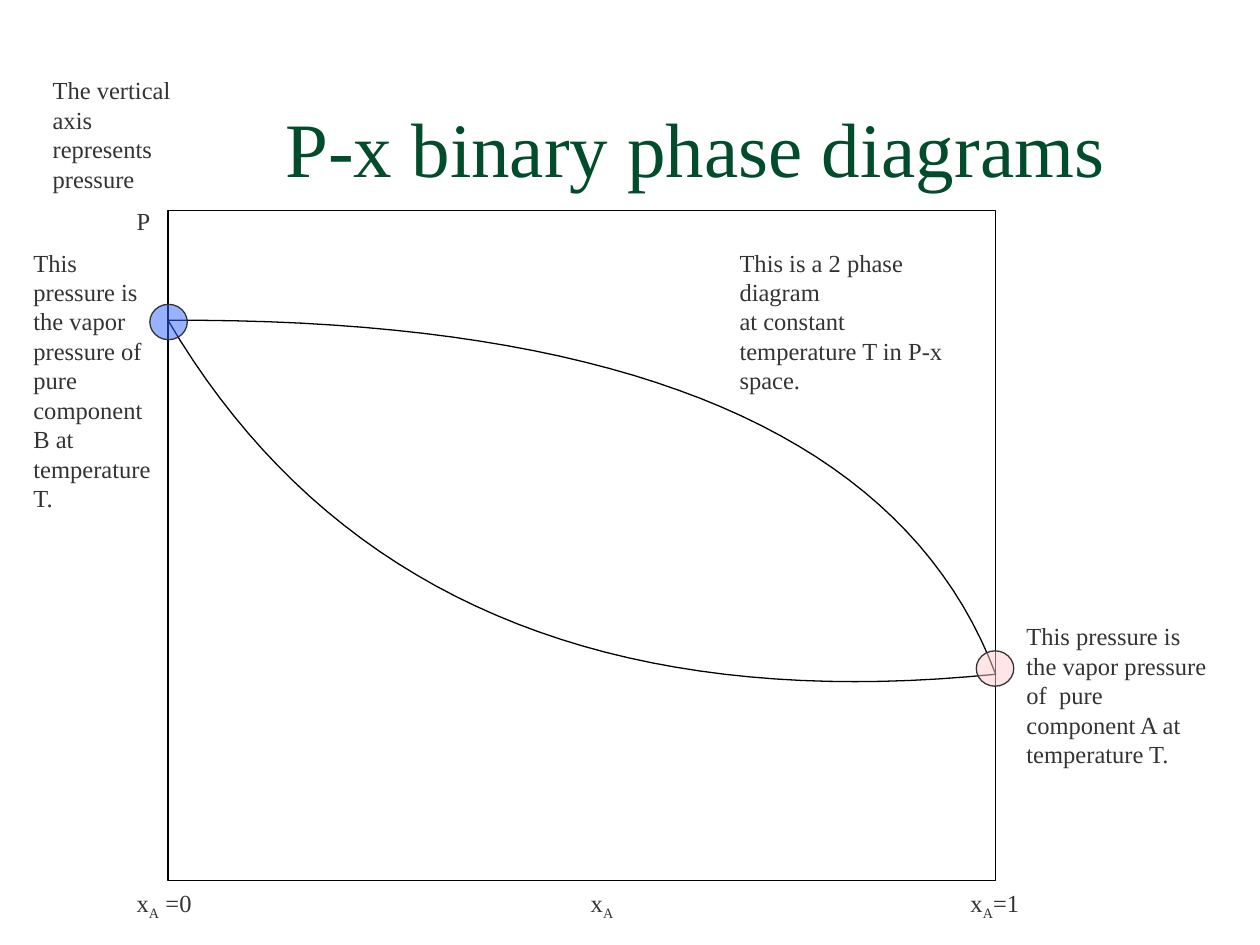
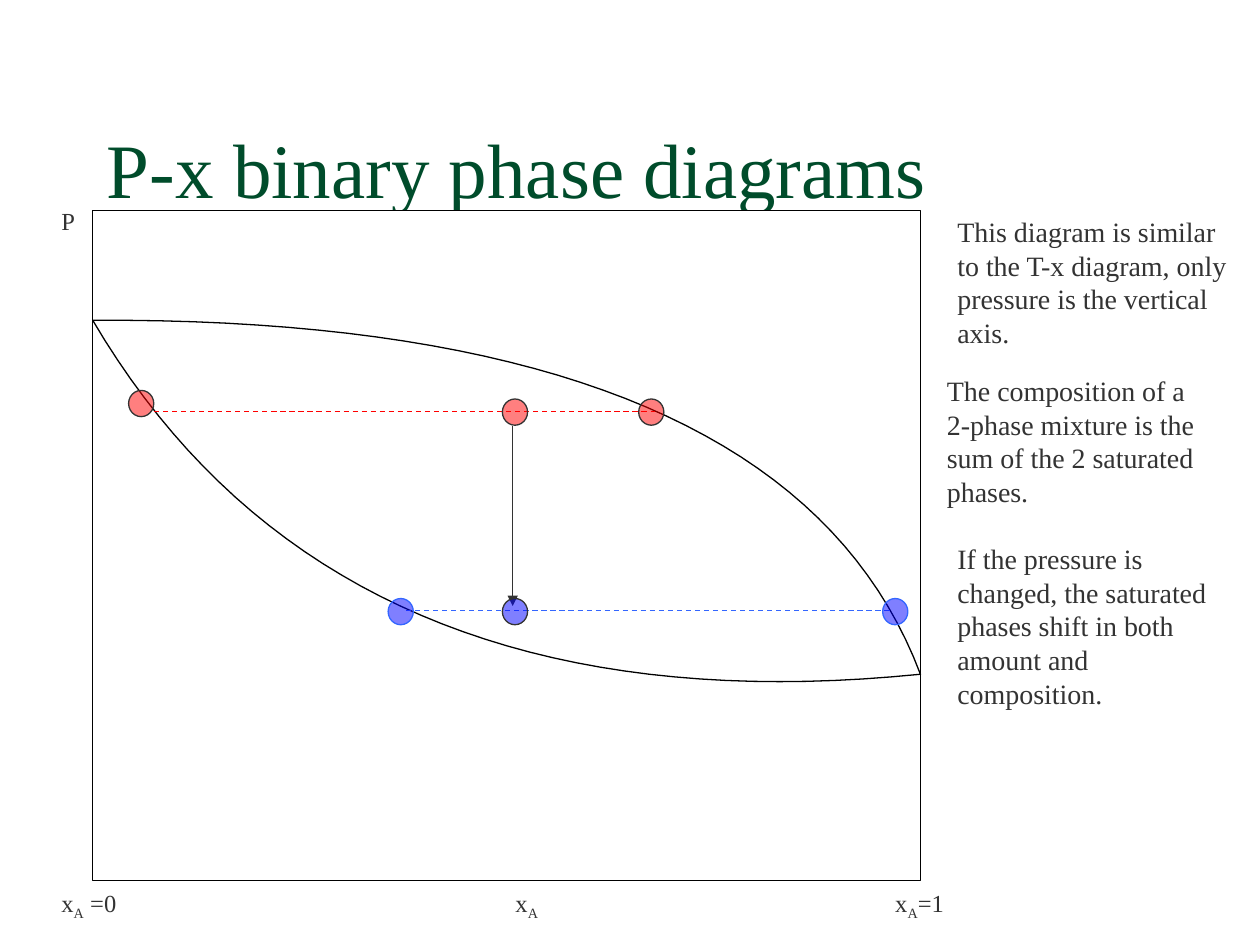
from lxml.etree import SubElement
from pptx import Presentation
from pptx.dml.color import RGBColor
from pptx.enum.dml import MSO_LINE
from pptx.enum.shapes import MSO_CONNECTOR, MSO_SHAPE
from pptx.enum.text import MSO_ANCHOR
from pptx.oxml.ns import qn
from pptx.util import Pt

COLORS = {
    "title": "004C2B",
    "text": "333333",
    "frame": "000000",
    "paper": "FFFFFF",
    "red": "FF0000",
    "blue": "0000FF",
    "sky": "3366FF",
    "pink": "FFCCCC",
}
FONT = "Times New Roman"
FRAME_TOP, FRAME_WIDTH, FRAME_HEIGHT = 120.2, 473, 383
LENS_TOP, LENS_DROP = 183, 202.3
UPPER_BEND, LOWER_BEND = (396, -2), (138.7, 236)
STEPS = 40


def write(slide, text, left, top, width, height, size=14, color="text",
          anchor=MSO_ANCHOR.TOP, wrap=True):
    box = slide.shapes.add_textbox(Pt(left), Pt(top), Pt(width), Pt(height))
    frame = box.text_frame
    frame.word_wrap = wrap
    frame.vertical_anchor = anchor
    for number, line in enumerate(text.split("\n")):
        paragraph = frame.add_paragraph() if number else frame.paragraphs[0]
        base, _, rest = line.partition("_")
        for piece, lowered in ((base, False), (rest[:1], True), (rest[1:], False)):
            if not piece:
                continue
            run = paragraph.add_run()
            run.text = piece
            run.font.name = FONT
            run.font.size = Pt(size)
            run.font.color.rgb = RGBColor.from_string(COLORS[color])
            if lowered:
                run._r.get_or_add_rPr().set("baseline", "-25000")


def paint(shape, fill, line, width, alpha=None):
    shape.shadow.inherit = False
    shape.fill.solid()
    shape.fill.fore_color.rgb = RGBColor.from_string(COLORS[fill])
    shape.line.color.rgb = RGBColor.from_string(COLORS[line])
    shape.line.width = Pt(width)
    if alpha:
        tint = shape._element.spPr.find(qn("a:solidFill"))[0]
        SubElement(tint, qn("a:alpha")).set("val", str(alpha * 1000))


lens = []
for step in range(2 * STEPS + 1):
    t = 1 - step / STEPS
    bend_x, bend_y = UPPER_BEND if t >= 0 else LOWER_BEND
    t = abs(t)
    lens.append((2 * t * (1 - t) * bend_x + t * t * FRAME_WIDTH,
                 2 * t * (1 - t) * bend_y + t * t * LENS_DROP))

diagrams = [
    {
        "left": 96,
        "title": (156, 24, 498, 90),
        "notes": [
            ("This is a 2 phase diagram\nat constant temperature T in P-x space.",
             415.5, 138, 132, 91.5),
            ("The vertical axis represents pressure", 23, 39.6, 84, 75),
            ("This pressure is the vapor pressure of  pure component B at temperature T.",
             12, 138, 84, 158),
            ("This pressure is the vapor pressure of  pure component A at temperature T.",
             579.5, 351.5, 122.5, 91.5),
        ],
        "note_size": 14,
        "lines": [],
        "dot_size": (21.4, 20.2),
        "dots": [(96.3, 184, "sky", "text"), (568.6, 382, "pink", "text")],
    },
    {
        "left": 53,
        "title": (54, 36, 612, 90),
        "notes": [
            ("This diagram is similar to the T-x diagram, only pressure is the vertical axis.",
             540, 119, 174, 84),
            ("The composition of a 2-phase mixture is the sum of the 2 saturated phases.",
             534, 210, 167, 84),
            ("If the pressure is changed, the saturated phases shift in both amount and composition.",
             540, 306, 157, 104),
        ],
        "note_size": 16,
        "lines": [
            (88, 235, 374.5, 235, "red", False),
            (293, 243.3, 293, 346.3, "text", True),
            (232, 349, 509, 349, "sky", False),
        ],
        "dot_size": (14.4, 15),
        "dots": [
            (80.7, 230.6, "red", "text"),
            (372.2, 235.5, "red", "text"),
            (294.3, 235.5, "red", "text"),
            (229, 349.5, "blue", "sky"),
            (511.6, 349.5, "blue", "sky"),
            (294.3, 349.5, "blue", "text"),
        ],
    },
]

deck = Presentation()
deck.slide_width, deck.slide_height = Pt(720), Pt(540)

for diagram in diagrams:
    slide = deck.slides.add_slide(deck.slide_layouts[6])
    left = diagram["left"]
    write(slide, "P-x binary phase diagrams", *diagram["title"],
          size=44, color="title", anchor=MSO_ANCHOR.BOTTOM)

    write(slide, "P", left - 25, 114, 36, 24.5)
    for axis_label, offset, width in (("x_A =0", -25, 60), ("x_A", 234.5, 27.5),
                                      ("x_A=1", 451.5, 42)):
        write(slide, axis_label, left + offset, 504, width, 26.5, wrap=False)

    plot = slide.shapes.add_shape(MSO_SHAPE.RECTANGLE, Pt(left), Pt(FRAME_TOP),
                                  Pt(FRAME_WIDTH), Pt(FRAME_HEIGHT))
    paint(plot, "paper", "frame", 0)

    outline = [(Pt(left + x), Pt(LENS_TOP + y)) for x, y in lens]
    builder = slide.shapes.build_freeform(*outline[0])
    builder.add_line_segments(outline[1:], close=True)
    paint(builder.convert_to_shape(), "paper", "frame", 0)

    for x1, y1, x2, y2, color, arrow in diagram["lines"]:
        tie = slide.shapes.add_connector(MSO_CONNECTOR.STRAIGHT,
                                         Pt(x1), Pt(y1), Pt(x2), Pt(y2))
        tie.line.color.rgb = RGBColor.from_string(COLORS[color])
        tie.line.width = Pt(0.75)
        if arrow:
            SubElement(tie.line._get_or_add_ln(), qn("a:tailEnd")).set("type", "triangle")
        else:
            tie.line.dash_style = MSO_LINE.DASH
        SubElement(tie._element.spPr, qn("a:effectLst"))

    dot_width, dot_height = diagram["dot_size"]
    for x, y, fill, line in diagram["dots"]:
        state = slide.shapes.add_shape(
            MSO_SHAPE.OVAL, Pt(x - dot_width / 2), Pt(y - dot_height / 2),
            Pt(dot_width), Pt(dot_height))
        paint(state, fill, line, 0.75, alpha=50)

    for note, *place in diagram["notes"]:
        write(slide, note, *place, size=diagram["note_size"])

deck.save("out.pptx")
